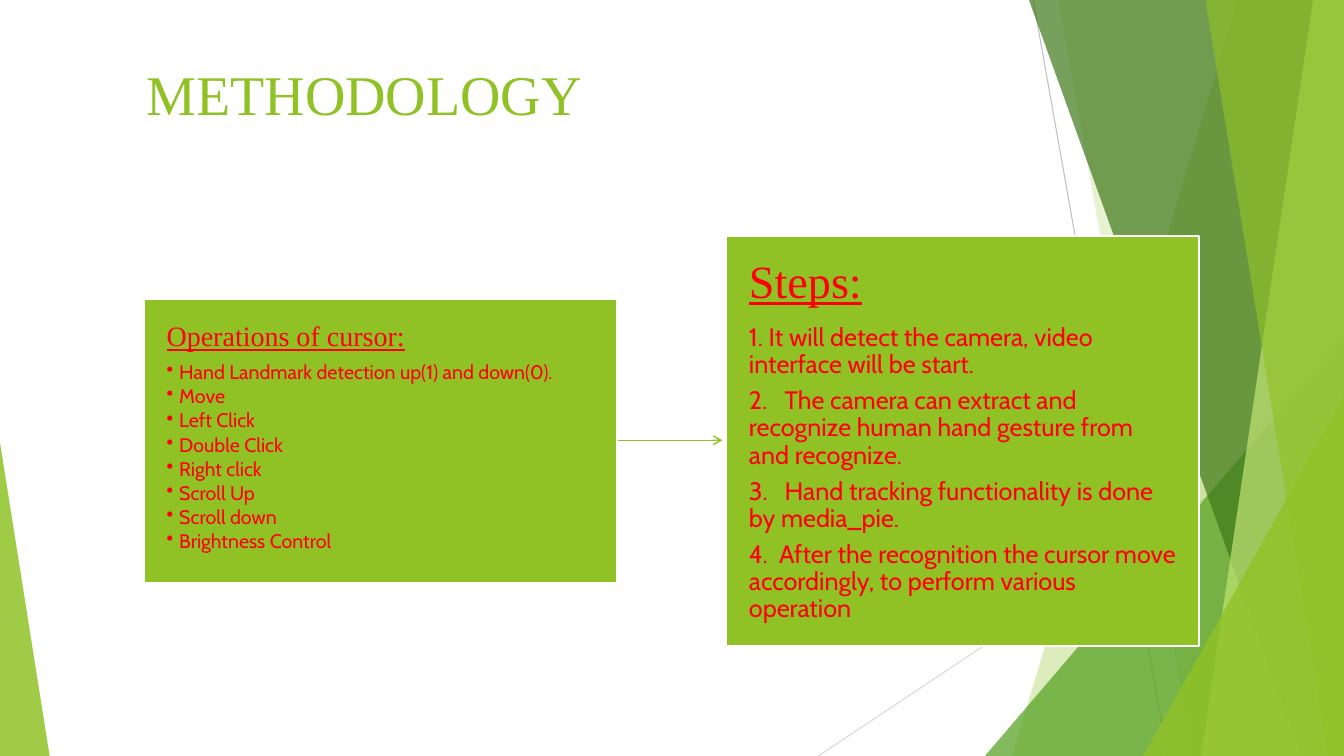
"""Build the METHODOLOGY slide: cursor operations leading to the steps."""
from lxml import etree
from pptx import Presentation
from pptx.dml.color import RGBColor
from pptx.enum.shapes import MSO_CONNECTOR, MSO_SHAPE
from pptx.enum.text import MSO_ANCHOR, PP_ALIGN
from pptx.oxml.ns import qn
from pptx.util import Pt

STRAIGHT = MSO_CONNECTOR.STRAIGHT
RECTANGLE = MSO_SHAPE.RECTANGLE
TRIANGLE = MSO_SHAPE.ISOSCELES_TRIANGLE
TOP, MIDDLE, BOTTOM = MSO_ANCHOR.TOP, MSO_ANCHOR.MIDDLE, MSO_ANCHOR.BOTTOM
LEFT = PP_ALIGN.LEFT

WHITE = RGBColor(0xFF, 0xFF, 0xFF)
RED = RGBColor(0xFF, 0x00, 0x00)
LIME = RGBColor(0x90, 0xC2, 0x26)
GREEN = RGBColor(0x54, 0xA0, 0x21)
DARK_GREEN = RGBColor(0x3F, 0x78, 0x19)
PALE_GREEN = RGBColor(0xC0, 0xE4, 0x74)
GREY = RGBColor(0xBF, 0xBF, 0xBF)
LIGHT_GREY = RGBColor(0xD9, 0xD9, 0xD9)

SERIF, SANS = "Times New Roman", "Cabin"
WIDTH, HEIGHT = 960, 540
BULLET_INDENT = 9

OPERATIONS = [
    "Hand Landmark detection up(1) and down(0).", "Move", "Left Click",
    "Double Click", "Right click", "Scroll Up", "Scroll down",
    "Brightness Control",
]
STEPS = [
    ("1. It will detect the camera, video interface will be start.", None),
    ("2.\tThe camera can extract and recognize human hand gesture from "
     "and recognize.", 25.5),
    ("3.\tHand tracking functionality is done by media_pie.", 25.5),
    ("4.\tAfter the recognition the cursor move accordingly, to perform "
     "various operation", 21.5),
]


class MethodologySlide:
    """Hold the slide and its style, with a method for each element."""

    def __init__(self, slide):
        self.slide = slide
        self.shapes = slide.shapes

    def style_text(self, paragraph, font_name, size, color, underline=False):
        """Format every run of a paragraph."""
        for run in paragraph.runs:
            run.font.name = font_name
            run.font.size = Pt(size)
            run.font.color.rgb = color
            run.font.underline = underline

    def paint(self, shape, color, opacity=100):
        """Give a shape a flat fill without line or shadow."""
        shape.shadow.inherit = False
        shape.line.fill.background()
        shape.fill.solid()
        shape.fill.fore_color.rgb = color
        if opacity < 100:
            tint = shape.fill._xPr.find(qn("a:solidFill"))[0]
            etree.SubElement(tint, qn("a:alpha"), val=str(opacity * 1000))

    def title(self, text, left, top, width, height):
        """Place and format the title placeholder."""
        heading = self.shapes.title
        heading.left, heading.top = Pt(left), Pt(top)
        heading.width, heading.height = Pt(width), Pt(height)
        frame = heading.text_frame
        frame.text = text
        frame.vertical_anchor = BOTTOM
        frame.paragraphs[0].alignment = LEFT
        self.style_text(frame.paragraphs[0], SERIF, 40, LIME)

    def line(self, start, end, color, width, arrow=False):
        """Draw a straight line, with an open arrowhead if asked."""
        connector = self.shapes.add_connector(
            STRAIGHT, *(Pt(value) for value in (*start, *end)))
        connector.line.color.rgb = color
        connector.line.width = Pt(width)
        if arrow:
            outline = connector.line._get_or_add_ln()
            etree.SubElement(outline, qn("a:tailEnd"), type="arrow")
        etree.SubElement(connector._element.spPr, qn("a:effectLst"))

    def facet(self, top_x, bottom_x, color, opacity):
        """Fill from a slanted left edge to the right edge of the slide."""
        builder = self.shapes.build_freeform(Pt(top_x), 0)
        corners = [(WIDTH, 0), (WIDTH, HEIGHT), (bottom_x, HEIGHT)]
        builder.add_line_segments([(Pt(x), Pt(y)) for x, y in corners])
        self.paint(builder.convert_to_shape(), color, opacity)

    def corner(self, left, top, width, apex, color, opacity):
        """Draw a right triangle standing on the bottom of the slide."""
        wedge = self.shapes.add_shape(
            TRIANGLE, Pt(left), Pt(top), Pt(width), Pt(HEIGHT - top))
        wedge.adjustments[0] = apex
        self.paint(wedge, color, opacity)

    def card(self, left, top, width, height, anchor, heading, size):
        """Draw a green card with an underlined heading."""
        panel = self.shapes.add_shape(
            RECTANGLE, Pt(left), Pt(top), Pt(width), Pt(height))
        self.paint(panel, LIME)
        panel.line.color.rgb = WHITE
        panel.line.width = Pt(1.5)
        frame = panel.text_frame
        frame.word_wrap = True
        frame.vertical_anchor = anchor
        frame.margin_left = frame.margin_right = Pt(16.5)
        frame.margin_top = frame.margin_bottom = Pt(17)
        frame.text = heading
        self.space(frame.paragraphs[0], size * 0.35)
        self.style_text(frame.paragraphs[0], SERIF, size, RED, True)
        return frame

    def space(self, paragraph, after):
        """Set alignment and spacing of a card paragraph."""
        paragraph.alignment = LEFT
        paragraph.line_spacing = 0.9
        paragraph.space_after = Pt(after)

    def item(self, frame, text, size, after, bullet=False, tab=None):
        """Add a card paragraph, bulleted or with one tab stop."""
        paragraph = frame.add_paragraph()
        paragraph.text = text
        properties = paragraph._p.get_or_add_pPr()
        if bullet:
            properties.set("marL", str(Pt(BULLET_INDENT)))
            properties.set("indent", str(-Pt(BULLET_INDENT)))
            etree.SubElement(properties, qn("a:buChar"), char="•")
        if tab:
            stops = etree.SubElement(properties, qn("a:tabLst"))
            etree.SubElement(stops, qn("a:tab"), pos=str(Pt(tab)), algn="l")
        self.space(paragraph, after)
        self.style_text(paragraph, SANS, size, RED)


def main():
    """Assemble and save the presentation."""
    deck = Presentation()
    deck.slide_width, deck.slide_height = Pt(WIDTH), Pt(HEIGHT)
    page = MethodologySlide(deck.slides.add_slide(deck.slide_layouts[5]))

    page.line((738, 0), (834, HEIGHT), GREY, 0.75)
    page.line((WIDTH, 290), (584.5, HEIGHT), LIGHT_GREY, 0.75)
    page.facet(884, 723, LIME, 30)
    page.facet(756, 852, LIME, 20)
    page.corner(703.5, 240, 256.5, 1, GREEN, 72)
    page.facet(735, 929.5, DARK_GREEN, 70)
    page.facet(938, 858, PALE_GREEN, 70)
    page.facet(861, 949, LIME, 65)
    page.corner(816.5, 283, 143.5, 1, LIME, 80)
    page.corner(0, 316, 35.5, 0, LIME, 85)

    page.title("METHODOLOGY", 97.5, 19, 755, 75)
    page.line((440.5, 314.5), (516, 314.5), LIME, 1, arrow=True)

    operations = page.card(102.5, 213.5, 338, 203, TOP,
                           "Operations of cursor:", 20)
    for operation in OPERATIONS:
        page.item(operations, operation, 14, 2.1, bullet=True)

    steps = page.card(518.5, 168.5, 338, 293, MIDDLE, "Steps:", 33)
    for step, tab in STEPS:
        page.item(steps, step, 18, 6.3, tab=tab)

    deck.save("out.pptx")


if __name__ == "__main__":
    main()
